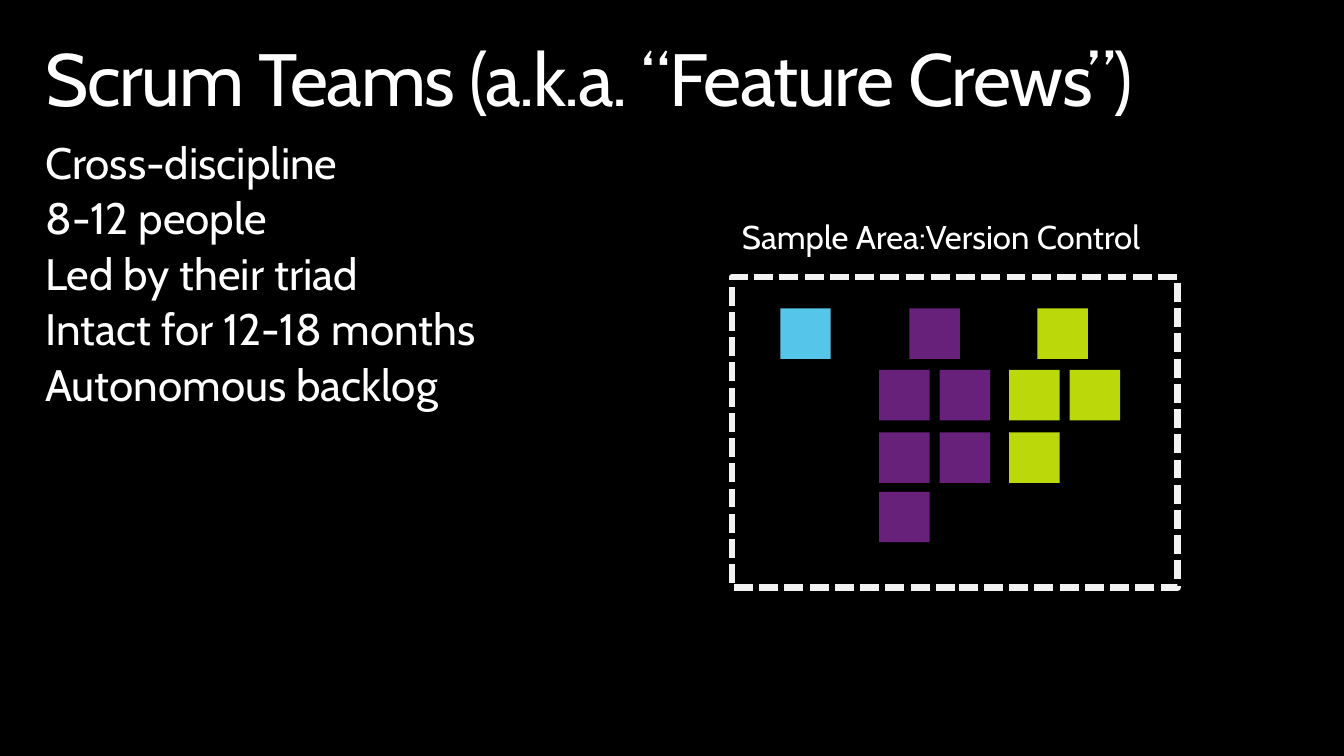
from dataclasses import dataclass

from pptx import Presentation
from pptx.dml.color import RGBColor
from pptx.enum.dml import MSO_LINE
from pptx.enum.shapes import MSO_SHAPE
from pptx.util import Inches, Pt


@dataclass(frozen=True)
class Theme:
    font: str = "Cabin"
    background: str = "000000"
    text: str = "FFFFFF"
    border: str = "F2F2F2"
    blue: str = "55C5E9"
    purple: str = "68217A"
    green: str = "BAD80A"
    title_size: float = 52.9
    body_size: float = 31.4
    label_size: float = 23.5


class SlideBuilder:
    def __init__(self, slide, theme):
        self.slide = slide
        self.theme = theme
        background = slide.background.fill
        background.solid()
        background.fore_color.rgb = RGBColor.from_string(theme.background)

    def text(self, box, lines, size, insets=(0.1, 0.05), wrap=True,
             line_spacing=1.0, gap=0, tracking=0):
        shape = self.slide.shapes.add_textbox(*map(Inches, box))
        frame = shape.text_frame
        frame.word_wrap = wrap
        frame.margin_left = frame.margin_right = Inches(insets[0])
        frame.margin_top = frame.margin_bottom = Inches(insets[1])
        frame.text = "\n".join(lines)
        for index, paragraph in enumerate(frame.paragraphs):
            paragraph.line_spacing = line_spacing
            if index and gap:
                paragraph.space_before = Pt(gap)
            font = paragraph.font
            font.name = self.theme.font
            font.size = Pt(size)
            font.color.rgb = RGBColor.from_string(self.theme.text)
            if tracking:
                for run in paragraph.runs:
                    run.font._element.set("spc", str(tracking))

    def rectangle(self, box):
        shape = self.slide.shapes.add_shape(MSO_SHAPE.RECTANGLE, *map(Inches, box))
        shape.shadow.inherit = False
        return shape

    def person(self, left, top, color):
        shape = self.rectangle((left, top, PERSON_SIZE, PERSON_SIZE))
        shape.fill.solid()
        shape.fill.fore_color.rgb = RGBColor.from_string(color)
        shape.line.fill.background()

    def dashed_frame(self, box):
        shape = self.rectangle(box)
        shape.fill.background()
        shape.line.color.rgb = RGBColor.from_string(self.theme.border)
        shape.line.width = Pt(4.5)
        shape.line.dash_style = MSO_LINE.SQUARE_DOT

    def team(self, left, color, row_sizes):
        """Draw rows of people, filled from the left."""
        for top, count in zip(MEMBER_TOPS, row_sizes):
            for column in range(count):
                self.person(left + column * MEMBER_PITCH, top, color)


PERSON_SIZE = 0.5
MEMBER_PITCH = 0.6
LEAD_TOP = 3.06
MEMBER_TOPS = (3.67, 4.29, 4.88)


def main():
    presentation = Presentation()
    presentation.slide_width = Inches(13.33)
    presentation.slide_height = Inches(7.5)
    slide = presentation.slides.add_slide(presentation.slide_layouts[6])
    theme = Theme()
    builder = SlideBuilder(slide, theme)

    # Team traits
    traits = ["Cross-discipline", "8-12 people", "Led by their triad",
              "Intact for 12-18 months", "Autonomous backlog"]
    builder.text((0.29, 1.3, 12.74, 2.62), traits, theme.body_size,
                 insets=(0.16, 0.1), line_spacing=0.9, gap=5.7)

    # Title
    builder.text((0.29, 0.32, 12.74, 0.98), ["Scrum Teams (a.k.a. “Feature Crews”)"],
                 theme.title_size, insets=(0.16, 0.1), line_spacing=0.9, tracking=-100)

    # Triad of leads
    for left, color in ((7.74, theme.blue), (9.02, theme.purple), (10.29, theme.green)):
        builder.person(left, LEAD_TOP, color)

    # Team members under their leads
    builder.team(8.72, theme.purple, (2, 2, 1))
    builder.team(10.01, theme.green, (2, 1))

    # Area frame and label
    builder.dashed_frame((7.26, 2.75, 4.42, 3.08))
    builder.text((7.26, 2.1, 4.34, 0.5), ["Sample Area:Version Control"],
                 theme.label_size, wrap=False)

    presentation.save("out.pptx")


if __name__ == "__main__":
    main()
